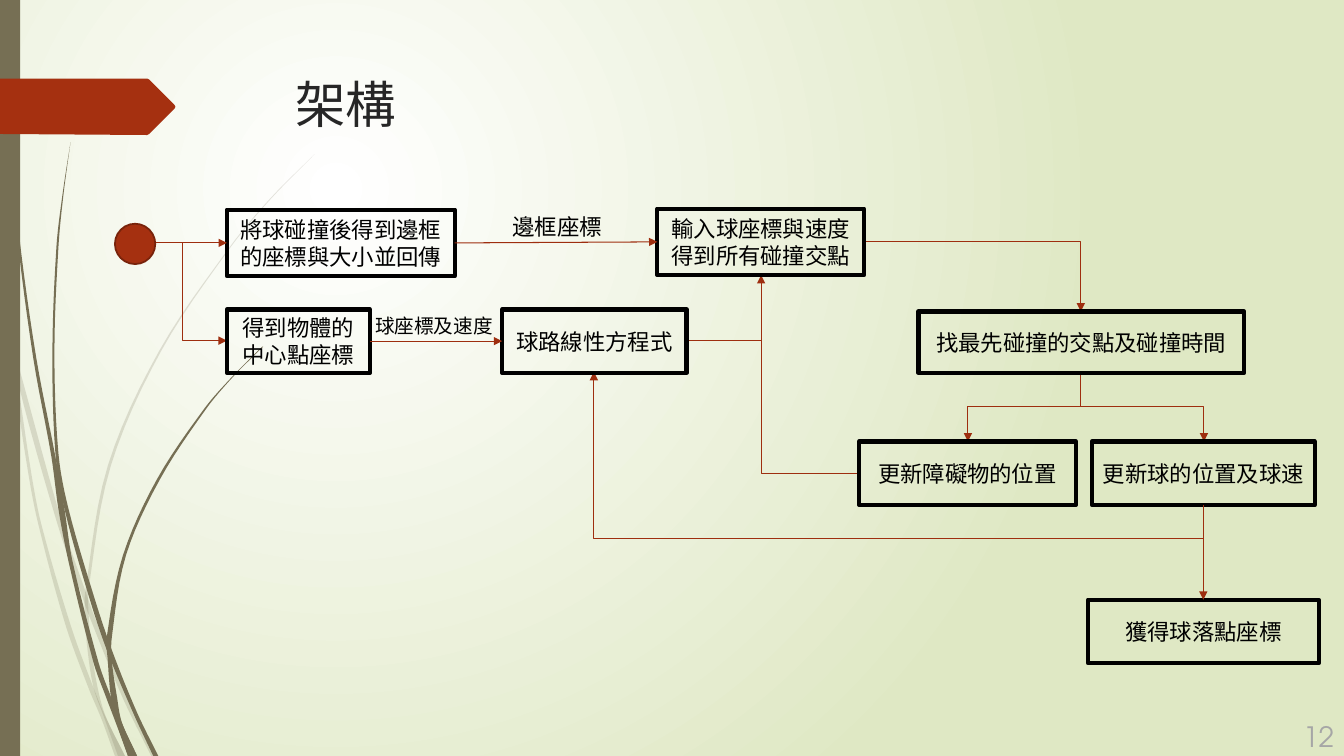
from dataclasses import dataclass

import pptx
import pptx.dml.color
import pptx.enum.dml
import pptx.enum.shapes
import pptx.enum.text
import pptx.oxml
import pptx.oxml.ns
import pptx.util
from lxml import etree

Inches, Pt = pptx.util.Inches, pptx.util.Pt
qn = pptx.oxml.ns.qn
ALIGN = pptx.enum.text.PP_ALIGN
ANCHOR = pptx.enum.text.MSO_ANCHOR
SHAPE = pptx.enum.shapes.MSO_SHAPE
CONNECTOR = pptx.enum.shapes.MSO_CONNECTOR
CJK, LATIN = "Noto Sans CJK SC", "TeX Gyre Adventor"
OLIVE, RUST, ARROW = "766F54", "A53010", "9E2E0F"
TOP, LEFT, BOTTOM, RIGHT = range(4)


@dataclass
class Box:
    name: str
    x: float
    y: float
    w: float
    h: float
    lines: tuple[str, ...]


@dataclass
class Label:
    x: float
    y: float
    w: float
    h: float
    text: str
    size: int


@dataclass
class Elbow:
    start: tuple[float, float]
    end: tuple[float, float]
    vertical_first: bool = False
    bends: int = 1
    adj: int = 50000
    arrow: bool = True


@dataclass
class Strand:
    """A grass blade as rows of y, left x and right x."""
    rows: list[tuple[float, float, float]]
    alpha: int = 100


BOXES = [
    Box("frame", 2.25, 2.08, 2.26, 0.66, ("將球碰撞後得到邊框的座標與大小並回傳",)),
    Box("centre", 2.25, 3.07, 1.42, 0.63, ("得到物體的", "中心點座標")),
    Box("path line", 4.98, 3.07, 1.83, 0.63, ("球路線性方程式",)),
    Box("crossings", 6.52, 2.07, 2.05, 0.66, ("輸入球座標與速度", "得到所有碰撞交點")),
    Box("first hit", 9.11, 3.09, 3.23, 0.61, ("找最先碰撞的交點及碰撞時間",)),
    Box("obstacles", 8.52, 4.38, 2.15, 0.63, ("更新障礙物的位置",)),
    Box("ball", 10.83, 4.38, 2.21, 0.63, ("更新球的位置及球速",)),
    Box("landing", 10.79, 5.95, 2.29, 0.63, ("獲得球落點座標",)),
]
LABELS = [
    Label(3.4, 3.09, 1.81, 0.31, "球座標及速度", 14),
    Label(4.62, 2.1, 1.81, 0.34, "邊框座標", 16),
]
ELBOWS = [
    Elbow((8.57, 2.4), (10.72, 3.09)),
    Elbow((10.72, 3.69), (9.6, 4.38), True, 2),
    Elbow((10.72, 3.69), (11.94, 4.38), True, 2),
    Elbow((6.81, 3.38), (7.55, 2.73)),
    Elbow((11.94, 5.01), (5.89, 3.69), True, 2, -25300),
    Elbow((1.81, 2.41), (2.25, 3.38), True),
    Elbow((8.52, 4.7), (7.55, 3.35), arrow=False),
]
LINKS = [("frame", RIGHT, "crossings", LEFT), ("centre", RIGHT, "path line", LEFT),
         ("ball", BOTTOM, "landing", TOP)]
STRANDS = [
    Strand([(2.82, 0, 0), (2.99, 0, .04), (3.22, .05, .09), (3.5, .11, .12), (3.76, .14, .17),
            (4.69, .28, .31), (5.2, .38, .41), (6.2, .65, .7), (6.83, .88, .93),
            (7.14, 1.01, 1.06), (7.5, 1.14, 1.24)], 20),
    Strand([(3.45, .14, .14), (3.76, .17, .22), (5.2, .57, .62), (5.93, .82, .87),
            (6.1, .88, .93), (6.93, 1.22, 1.27), (7.5, 1.5, 1.55)], 20),
    Strand([(1.53, 3.12, 3.12), (1.97, 2.68, 2.69), (2.45, 2.28, 2.29), (3.48, 1.58, 1.6),
            (4.62, 1.07, 1.1), (5.84, .85, .88), (6.1, .84, .88), (6.46, .87, .91),
            (6.83, .93, .97), (7.11, 1.03, 1.05), (7.5, 1.17, 1.24)], 20),
    Strand([(0, .03, .04), (.48, .04, .05), (1.1, .07, .08), (2.33, .17, .19), (3.55, .33, .36),
            (4.53, .51, .55), (5.05, .58, .64), (5.57, .68, .72), (6.58, .93, .98),
            (6.91, 1.05, 1.1), (7.2, 1.16, 1.22), (7.5, 1.27, 1.36)]),
    Strand([(1.41, .7, .7), (1.93, .62, .63), (2.45, .56, .58), (3.49, .52, .54), (4.5, .55, .58),
            (5.05, .64, .68), (5.91, .88, .93), (6.45, 1.06, 1.11), (7.07, 1.32, 1.36),
            (7.5, 1.52, 1.57)]),
    Strand([(3.44, 2.6, 2.61), (3.73, 2.31, 2.32), (4.05, 2.03, 2.05), (4.75, 1.56, 1.59),
            (5.51, 1.22, 1.25), (6.32, 1.06, 1.11), (6.56, 1.07, 1.11), (6.91, 1.1, 1.16),
            (7.17, 1.16, 1.21), (7.5, 1.27, 1.36)]),
]


def rgb(value: str) -> pptx.dml.color.RGBColor:
    return pptx.dml.color.RGBColor.from_string(value)


def paint(sp, fill: str = "", line: str = "", width: float = 0) -> None:
    sp.shadow.inherit = False
    if fill:
        sp.fill.solid()
        sp.fill.fore_color.rgb = rgb(fill)
    else:
        sp.fill.background()
    if line:
        sp.line.color.rgb = rgb(line)
        sp.line.width = Pt(width)
    else:
        sp.line.fill.background()


def write(tf, lines: tuple[str, ...], size: int, color: str = "000000", align=ALIGN.CENTER,
          anchor=ANCHOR.MIDDLE, font: str = CJK, spacing: float = 1.0) -> None:
    tf.word_wrap = True
    tf.vertical_anchor = anchor
    for i, line in enumerate(lines):
        p = tf.paragraphs[0] if i == 0 else tf.add_paragraph()
        p.alignment, p.line_spacing = align, spacing
        r = p.add_run()
        r.text = line
        r.font.size, r.font.name = Pt(size), font
        r.font.color.rgb = rgb(color)
        etree.SubElement(r._r.get_or_add_rPr(), qn("a:ea"), typeface=font)


def outline(s, points: list[tuple[float, float]], fill: str):
    (x, y), *rest = [(Inches(px), Inches(py)) for px, py in points]
    builder = s.shapes.build_freeform(x, y)
    builder.add_line_segments(rest, close=True)
    sp = builder.convert_to_shape()
    paint(sp, fill)
    return sp


def smooth_rows(rows: list[tuple[float, float, float]], steps: int = 6) -> list[tuple[float, ...]]:
    """Hermite interpolation of both edges over y."""
    def slope(i: int, k: int) -> float:
        a, b = rows[max(i - 1, 0)], rows[min(i + 1, len(rows) - 1)]
        return (b[k] - a[k]) / (b[0] - a[0])

    out = []
    for i, (a, b) in enumerate(zip(rows, rows[1:])):
        h = b[0] - a[0]
        for t in (n / steps for n in range(steps)):
            u = t * t * (3 - 2 * t)
            edges = [a[k] + (b[k] - a[k]) * u + h * t * (1 - t)
                     * ((1 - t) * slope(i, k) - t * slope(i + 1, k)) for k in (1, 2)]
            out.append((a[0] + h * t, *edges))
    return out + [rows[-1]]


def draw_strand(s, strand: Strand) -> None:
    rows = smooth_rows(strand.rows)
    sp = outline(s, [(l, y) for y, l, _ in rows] + [(r, y) for y, _, r in reversed(rows)], OLIVE)
    if strand.alpha < 100:
        color = sp.element.spPr.find(qn("a:solidFill"))[0]
        etree.SubElement(color, qn("a:alpha"), val=str(strand.alpha * 1000))


def add_line(s, kind, x1: float, y1: float, x2: float, y2: float, arrow: bool = True):
    c = s.shapes.add_connector(kind, Inches(x1), Inches(y1), Inches(x2), Inches(y2))
    c.line.color.rgb, c.line.width = rgb(ARROW), Pt(0.75)
    if arrow:
        etree.SubElement(c.line._get_or_add_ln(), qn("a:tailEnd"), type="triangle")
    etree.SubElement(c.element.spPr, qn("a:effectLst"))
    return c


def draw_elbow(s, e: Elbow) -> None:
    (x1, y1), (x2, y2) = e.start, e.end
    rot = 0
    if e.vertical_first:  # lay the frame on its side, then turn it about its centre
        rot = 90 if x2 < x1 else 270
        cx, cy, w, h = (x1 + x2) / 2, (y1 + y2) / 2, abs(y2 - y1), abs(x2 - x1)
        sign = 1 if (rot == 90) == (y2 > y1) else -1
        x1, x2, y1, y2 = cx - sign * w / 2, cx + sign * w / 2, cy - h / 2, cy + h / 2
    c = add_line(s, CONNECTOR.ELBOW, x1, y1, x2, y2, e.arrow)
    spPr = c.element.spPr
    if rot:
        spPr.find(qn("a:xfrm")).set("rot", str(rot * 60000))
    geom = spPr.find(qn("a:prstGeom"))
    geom.set("prst", f"bentConnector{e.bends + 1}")
    if e.bends == 2:
        av = geom.find(qn("a:avLst"))
        etree.SubElement(av, qn("a:gd"), name="adj1", fmla=f"val {e.adj}")


def draw_box(s, b: Box):
    sp = s.shapes.add_shape(SHAPE.RECTANGLE, *map(Inches, (b.x, b.y, b.w, b.h)))
    paint(sp, line="000000", width=3)
    write(sp.text_frame, b.lines, 16)
    return sp


def main() -> None:
    prs = pptx.Presentation()
    prs.slide_width, prs.slide_height = Inches(13.33), Inches(7.5)
    s = prs.slides.add_slide(prs.slide_layouts[5])

    # Background glow
    fill = s.background.fill
    fill.gradient()
    for stop, position, color in zip(fill.gradient_stops, (0, 1), ("FFFFFF", "DFE8C4")):
        stop.position, stop.color.rgb = position, rgb(color)
    lin = s.element.find(".//" + qn("a:lin"))
    glow = etree.Element(qn("a:path"), path="circle")
    etree.SubElement(glow, qn("a:fillToRect"), l="50000", t="50000", r="100000", b="100000")
    lin.getparent().replace(lin, glow)

    # Grass, side rail and page marker
    for strand in STRANDS:
        draw_strand(s, strand)
    rail = s.shapes.add_shape(SHAPE.RECTANGLE, 0, 0, Inches(0.2), Inches(7.5))
    paint(rail, OLIVE)
    outline(s, [(0, .78), (1.46, .78), (1.48, .79), (1.73, 1.04), (1.74, 1.06), (1.73, 1.08),
                (1.48, 1.33), (1.46, 1.34), (0, 1.33)], RUST)

    # Title and page number
    title = s.shapes.title
    title.left, title.top, title.width, title.height = map(Inches, (2.83, 0.68, 9.74, 1.4))
    write(title.text_frame, ("架構",), 36, "262626", ALIGN.LEFT, ANCHOR.TOP)
    number = s.shapes.add_textbox(*map(Inches, (12.48, 7.1, 0.85, 0.4)))
    write(number.text_frame, ("12",), 20, "A6A6A6", ALIGN.RIGHT, font=LATIN)

    # Flow chart
    for elbow in ELBOWS:
        draw_elbow(s, elbow)
    boxes = {b.name: draw_box(s, b) for b in BOXES}
    for start, start_side, end, end_side in LINKS:
        c = add_line(s, CONNECTOR.STRAIGHT, 0, 0, 1, 1)
        c.begin_connect(boxes[start], start_side)
        c.end_connect(boxes[end], end_side)
    entry = add_line(s, CONNECTOR.STRAIGHT, 1.54, 2.41, 2.25, 2.41)
    entry.end_connect(boxes["frame"], LEFT)
    dot = s.shapes.add_shape(SHAPE.OVAL, *map(Inches, (1.14, 2.22, 0.4, 0.4)))
    paint(dot, RUST, "78230B", 1.25)
    for label in LABELS:
        tb = s.shapes.add_textbox(*map(Inches, (label.x, label.y, label.w, label.h)))
        write(tb.text_frame, (label.text,), label.size, anchor=ANCHOR.TOP, spacing=0.9)

    prs.save("out.pptx")


if __name__ == "__main__":
    main()
